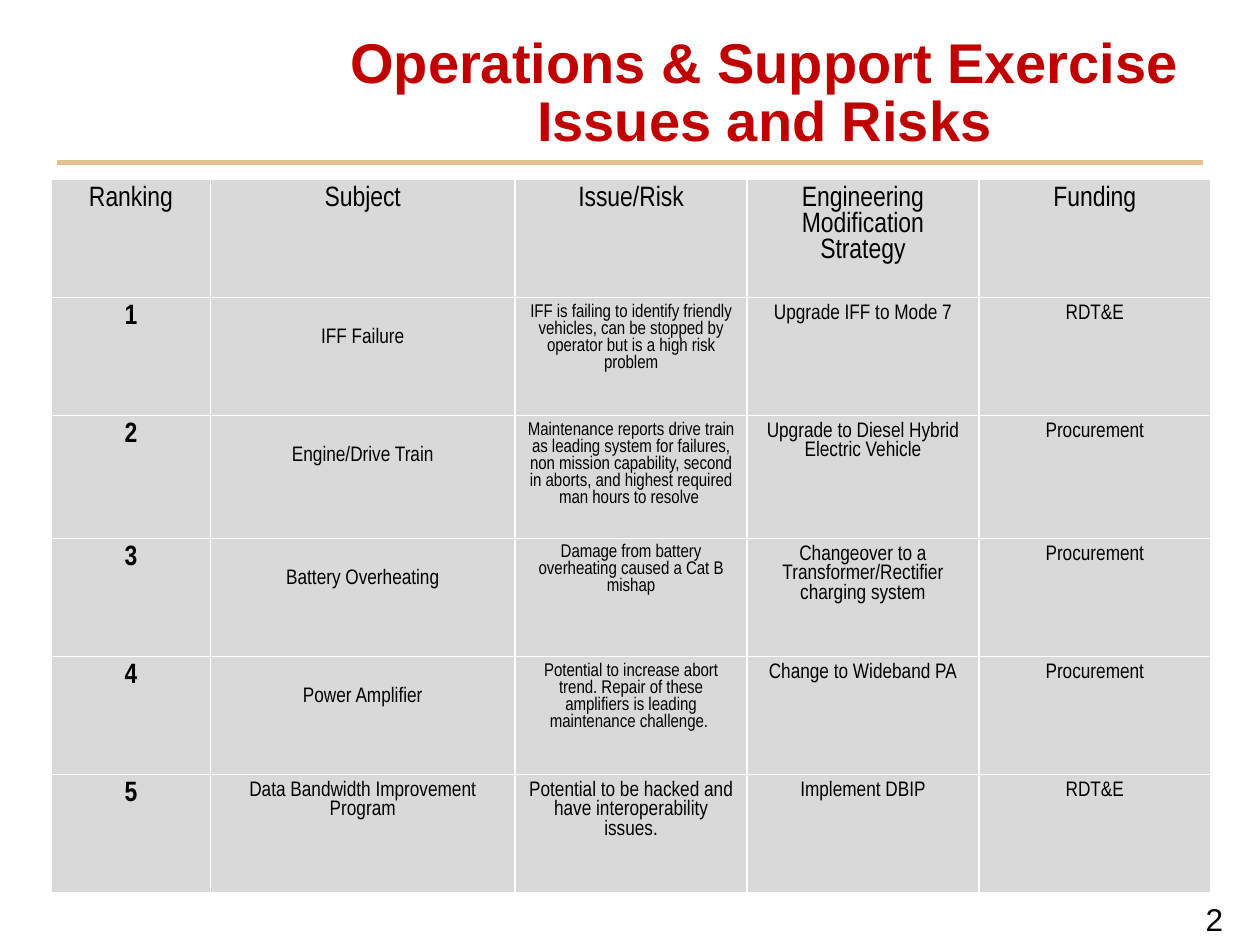
from lxml import etree
from pptx import Presentation
from pptx.dml.color import RGBColor
from pptx.enum import shapes, text
from pptx.oxml import ns
from pptx.util import Pt

HUES = {"title": "C00000", "rule": "E4C191", "cell": "D9D9D9",
        "edge": "FFFFFF", "ink": "000000"}
WIDTHS = [90.7, 174.2, 132.5, 132.5, 132.5]
HIGH = 67.5
INSET = 3.6
DROP = 13.8  # one line of 12 pt text
HEADS = ["Ranking", "Subject", "Issue/Risk",
         "Engineering Modification Strategy", "Funding"]
# Subject, issue, strategy, funding, issue size, subject drop
RISKS = [
    ("IFF Failure",
     "IFF is failing to identify friendly vehicles, can be stopped by "
     "operator but is a high risk problem",
     "Upgrade IFF to Mode 7", "RDT&E", 10.5, DROP),
    ("Engine/Drive Train",
     "Maintenance reports drive train as leading system for failures, non "
     "mission capability, second in aborts, and highest required man hours "
     "to resolve ",
     "Upgrade to Diesel Hybrid Electric Vehicle", "Procurement", 10.5, DROP),
    ("Battery Overheating",
     "Damage from battery overheating caused a Cat B mishap",
     "Changeover to a Transformer/Rectifier charging system",
     "Procurement", 10.5, DROP),
    ("Power Amplifier",
     "Potential to increase abort trend. Repair of these amplifiers is "
     "leading maintenance challenge. ",
     "Change to Wideband PA", "Procurement", 10.5, DROP),
    ("Data Bandwidth Improvement Program",
     "Potential to be hacked and have interoperability issues.",
     "Implement DBIP", "RDT&E", 12, 0),
]


def hue(name):
    """Return the named colour."""
    return RGBColor.from_string(HUES[name])


def add_run(para, words, size, font="Arial", bold=False, ink="ink"):
    """Add one styled run to a paragraph."""
    run = para.add_run()
    run.text = words
    run.font.size = Pt(size)
    run.font.name = font
    run.font.bold = bold
    run.font.color.rgb = hue(ink)


def add_text(slide, box, words, size, align, **style):
    """Add a text box and return its frame."""
    frame = slide.shapes.add_textbox(*map(Pt, box)).text_frame
    frame.word_wrap = True
    para = frame.paragraphs[0]
    para.alignment = align
    add_run(para, words, size, **style)
    return frame


def add_rule(slide, left, right, top):
    """Draw the flat rule under the title."""
    line = slide.shapes.add_connector(
        shapes.MSO_CONNECTOR.STRAIGHT, *map(Pt, (left, top, right, top)))
    line.line.color.rgb = hue("rule")
    line.line.width = Pt(3)
    etree.SubElement(line._element.spPr, ns.qn("a:effectLst"))


def edge_cell(cell):
    """Give a cell thin borders on its four sides."""
    props = cell._tc.get_or_add_tcPr()
    for spot, side in enumerate("LRTB"):
        line = etree.Element(ns.qn("a:ln" + side), w=str(Pt(1)))
        fill = etree.SubElement(line, ns.qn("a:solidFill"))
        etree.SubElement(fill, ns.qn("a:srgbClr"), val=HUES["edge"])
        props.insert(spot, line)


def fill_cell(cell, words, size, bold=False, drop=0):
    """Style a cell and write its text."""
    cell.fill.solid()
    cell.fill.fore_color.rgb = hue("cell")
    edge_cell(cell)
    cell.margin_top = Pt(INSET + drop)
    para = cell.text_frame.paragraphs[0]
    para.alignment = text.PP_ALIGN.CENTER
    add_run(para, words, size, "Arial Narrow", bold)


def add_risks(slide, left, top):
    """Build the table of ranked risks."""
    count = len(RISKS) + 1
    frame = slide.shapes.add_table(
        count, len(WIDTHS),
        *map(Pt, (left, top, sum(WIDTHS), HIGH * count)))
    table = frame.table
    table.horz_banding = False
    for col, width in zip(table.columns, WIDTHS):
        col.width = Pt(width)
    for row in table.rows:
        row.height = Pt(HIGH)
    for col, head in enumerate(HEADS):
        fill_cell(table.cell(0, col), head, 16)
    for rank, (name, issue, plan, fund, size, drop) in enumerate(RISKS, 1):
        fill_cell(table.cell(rank, 0), str(rank), 16, bold=True)
        fill_cell(table.cell(rank, 1), name, 12, drop=drop)
        fill_cell(table.cell(rank, 2), issue, size)
        fill_cell(table.cell(rank, 3), plan, 12)
        fill_cell(table.cell(rank, 4), fund, 12)


def main():
    """Build and save the slide."""
    deck = Presentation()
    deck.slide_width, deck.slide_height = Pt(720), Pt(540)
    slide = deck.slides.add_slide(deck.slide_layouts[6])
    add_text(slide, (663, 511, 43, 29), "2", 18, text.PP_ALIGN.RIGHT)
    add_rule(slide, 32.4, 687.6, 92.9)
    title = add_text(slide, (152, 8, 570, 93),
                     "Operations & Support Exercise Issues and Risks", 32,
                     text.PP_ALIGN.CENTER, bold=True, ink="title")
    title.vertical_anchor = text.MSO_ANCHOR.MIDDLE
    title.paragraphs[0].line_spacing = 0.85
    add_risks(slide, 29.5, 102.5)
    deck.save("out.pptx")


main()
